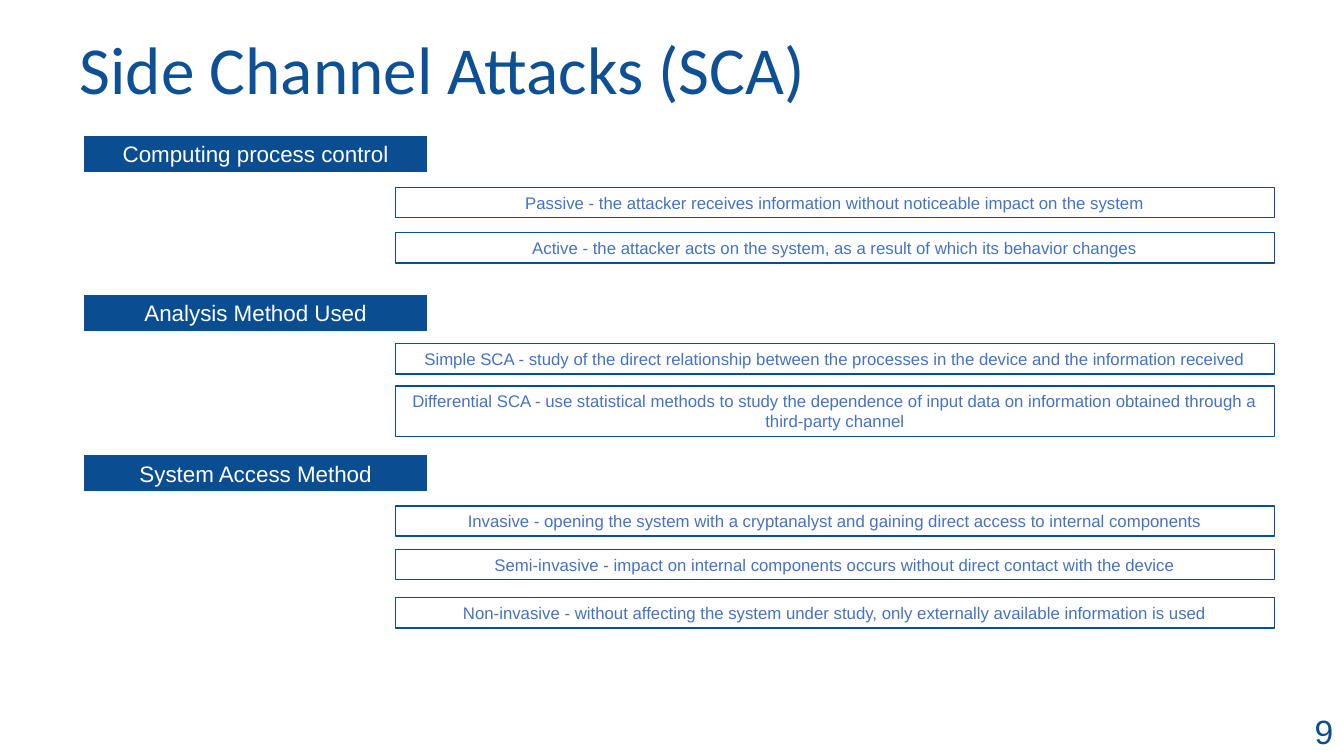
from pptx import Presentation
from pptx.dml.color import RGBColor as Rgb
from pptx.enum.shapes import MSO_SHAPE as Kind
from pptx.enum.text import MSO_ANCHOR as Anchor, MSO_AUTO_SIZE as Fit, PP_ALIGN as Align
from pptx.util import Pt

PX = 9144
HUES = {"title": "0D5095", "navy": "0B4D91", "blue": "4472C4", "white": "FFFFFF"}
GROUPS = [
    ("Computing process control", 134, [
        (52, 30, "Passive - the attacker receives information without noticeable impact on the system"),
        (97, 30, "Active - the attacker acts on the system, as a result of which its behavior changes"),
    ]),
    ("Analysis Method Used", 292, [
        (49, 30, "Simple SCA - study of the direct relationship between the processes in the device "
                 "and the information received"),
        (91, 50, "Differential SCA - use statistical methods to study the dependence of input data "
                 "on information obtained through a third-party channel"),
    ]),
    ("System Access Method", 451, [
        (51, 30, "Invasive - opening the system with a cryptanalyst and gaining direct access "
                 "to internal components"),
        (94, 30, "Semi-invasive - impact on internal components occurs without direct contact "
                 "with the device"),
        (142, 30, "Non-invasive - without affecting the system under study, only externally "
                  "available information is used"),
    ]),
]


def hue(name):
    """Return the named colour."""
    return Rgb.from_string(HUES[name])


def emu(*spans):
    """Turn px lengths into EMU."""
    return [span * PX for span in spans]


def write(shape, text, size, tint, font="Arial", align=Align.CENTER,
          anchor=Anchor.MIDDLE, wrap=True, lead=None):
    """Put formatted text into a shape."""
    frame = shape.text_frame
    frame.auto_size = Fit.NONE
    frame.word_wrap = wrap
    frame.vertical_anchor = anchor
    para = frame.paragraphs[0]
    para.alignment = align
    para.line_spacing = lead
    run = para.add_run()
    run.text = text
    run.font.size = Pt(size)
    run.font.name = font
    run.font.color.rgb = hue(tint)


def panel(slide, box, fill, edge, width):
    """Add a plain outlined rectangle."""
    shape = slide.shapes.add_shape(Kind.RECTANGLE, *emu(*box))
    shape.shadow.inherit = False
    shape.fill.solid()
    shape.fill.fore_color.rgb = hue(fill)
    shape.line.color.rgb = hue(edge)
    shape.line.width = Pt(width)
    return shape


def heading(slide, box, text):
    """Fill the title placeholder."""
    title = slide.shapes.title
    title.left, title.top, title.width, title.height = emu(*box)
    write(title, text, 48, "title", font="Calibri", align=Align.LEFT, lead=0.9)


def group(slide, box, label, items):
    """Draw a label with its definitions below and to the right."""
    left, top, width = box
    tag = panel(slide, (left, top, 341, 37), "navy", "white", 0.75)
    write(tag, label, 16, "white")
    inset = 309
    for drop, high, text in items:
        row = panel(slide, (left + inset, top + drop, width - inset, high), "white", "navy", 1)
        write(row, text, 12, "blue", anchor=Anchor.TOP)


def number(slide, box, text):
    """Place the page number."""
    shape = slide.shapes.add_textbox(*emu(*box))
    write(shape, text, 24, "navy", align=Align.LEFT, anchor=Anchor.TOP, wrap=False)


def main():
    """Build and save the slide."""
    deck = Presentation()
    deck.slide_width, deck.slide_height = emu(1333, 750)
    slide = deck.slides.add_slide(deck.slide_layouts[5])
    heading(slide, (69, 0, 929, 145), "Side Channel Attacks (SCA)")
    for label, top, items in GROUPS:
        group(slide, (83, top, 1181), label, items)
    number(slide, (1294, 700, 39, 50), "9")
    deck.save("out.pptx")


if __name__ == "__main__":
    main()
